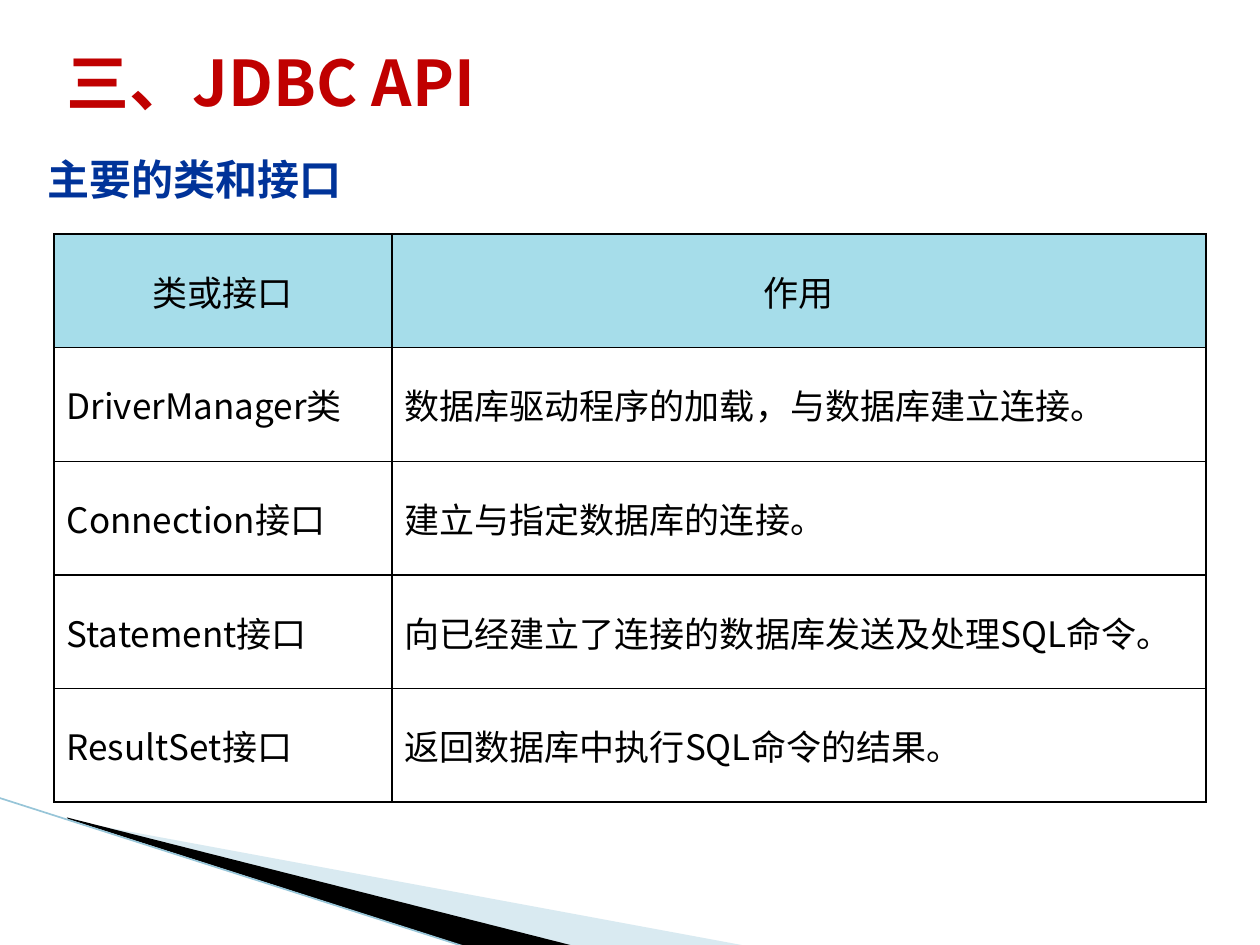
from typing import NamedTuple

from lxml import etree
from pptx import Presentation
from pptx.dml.color import RGBColor
from pptx.enum.shapes import MSO_CONNECTOR
from pptx.enum.text import MSO_ANCHOR, MSO_AUTO_SIZE, PP_ALIGN
from pptx.oxml.ns import qn
from pptx.util import Cm, Pt

LEFT, CENTER = PP_ALIGN.LEFT, PP_ALIGN.CENTER
MIDDLE = MSO_ANCHOR.MIDDLE
NO_FIT = MSO_AUTO_SIZE.NONE
STRAIGHT = MSO_CONNECTOR.STRAIGHT
FONT = "Noto Sans CJK SC"
HANG = Cm(0.94)
WIDTHS = (6.81, 16.41)
HEIGHT = 2.29


class Wedge(NamedTuple):
    points: tuple[tuple[float, float], ...]
    color: str
    alpha: int = 100


class Row(NamedTuple):
    name: str
    role: str
    hang: bool = True


WEDGES = (
    Wedge(((1.4, 16.54), (15.11, 19.08), (11.58, 19.08), (1.4, 16.51)), "A0CBDC", 40),
    Wedge(((1.35, 16.48), (11.61, 19.08), (9.45, 19.1), (1.37, 16.51)), "000000"),
)
ROWS = (
    Row("类或接口", "作用"),
    Row("DriverManager类", "数据库驱动程序的加载，与数据库建立连接。", False),
    Row("Connection接口", "建立与指定数据库的连接。"),
    Row("Statement接口", "向已经建立了连接的数据库发送及处理SQL命令。", False),
    Row("ResultSet接口", "返回数据库中执行SQL命令的结果。"),
)


def rgb(color: str) -> RGBColor:
    return RGBColor.from_string(color)


def write(frame, text: str, *, size: int, color: str = "000000",
          bold: bool = False, align=LEFT, hang: bool = False) -> None:
    para = frame.paragraphs[0]
    para.alignment = align
    if hang:
        props = para._p.get_or_add_pPr()
        props.set("marL", str(HANG))
        props.set("indent", str(-HANG))
    run = para.add_run()
    run.text = text
    font = run.font
    font.name, font.size, font.bold = FONT, Pt(size), bold
    font.color.rgb = rgb(color)
    etree.SubElement(run._r.get_or_add_rPr(), qn("a:ea"), typeface=FONT)


def place(shape, left: float, top: float, width: float, height: float) -> None:
    shape.left, shape.top = Cm(left), Cm(top)
    shape.width, shape.height = Cm(width), Cm(height)
    frame = shape.text_frame
    frame.auto_size = NO_FIT
    frame.word_wrap = True
    frame.vertical_anchor = MIDDLE


def draw_wedge(shapes, wedge: Wedge) -> None:
    first, *rest = [(Cm(x), Cm(y)) for x, y in wedge.points]
    pen = shapes.build_freeform(*first)
    pen.add_line_segments(rest)
    shape = pen.convert_to_shape()
    shape.shadow.inherit = False
    shape.fill.solid()
    shape.fill.fore_color.rgb = rgb(wedge.color)
    shape.line.fill.background()
    if wedge.alpha < 100:
        tint = shape._element.spPr.find(".//" + qn("a:srgbClr"))
        etree.SubElement(tint, qn("a:alpha"), val=str(wedge.alpha * 1000))


def draw_edge(shapes) -> None:
    edge = shapes.add_connector(STRAIGHT, Cm(-0.03), Cm(16.08), Cm(9.42), Cm(19.1))
    edge.line.color.rgb = rgb("97C5D8")
    edge.line.width = Pt(0.95)
    etree.SubElement(edge._element.spPr, qn("a:effectLst"))


def add_border(cell) -> None:
    props = cell._tc.get_or_add_tcPr()
    for spot, side in enumerate(("lnL", "lnR", "lnT", "lnB")):
        line = etree.Element(qn(f"a:{side}"), w=str(Pt(1)))
        fill = etree.SubElement(line, qn("a:solidFill"))
        etree.SubElement(fill, qn("a:srgbClr"), val="000000")
        props.insert(spot, line)


def draw_table(shapes, rows: tuple[Row, ...]) -> None:
    table = shapes.add_table(len(rows), len(WIDTHS), Cm(1.09), Cm(4.72),
                             Cm(sum(WIDTHS)), Cm(HEIGHT * len(rows))).table
    for col, width in zip(table.columns, WIDTHS):
        col.width = Cm(width)
    for i, row in enumerate(rows):
        table.rows[i].height = Cm(HEIGHT)
        for j, text in enumerate((row.name, row.role)):
            cell = table.cell(i, j)
            cell.vertical_anchor = MIDDLE
            if i == 0:
                cell.fill.solid()
                cell.fill.fore_color.rgb = rgb("A6DDEA")
            else:
                cell.fill.background()
            add_border(cell)
            write(cell.text_frame, text, size=20, align=LEFT if i else CENTER,
                  hang=j == 0 or row.hang)


def main() -> None:
    deck = Presentation()
    deck.slide_width, deck.slide_height = Cm(25.4), Cm(19.05)
    slide = deck.slides.add_slide(deck.slide_layouts[5])
    shapes = slide.shapes
    for wedge in WEDGES:
        draw_wedge(shapes, wedge)
    draw_edge(shapes)
    draw_table(shapes, ROWS)
    head = shapes.add_textbox(0, 0, 0, 0)
    place(head, 0.71, 2.97, 13, 1.27)
    write(head.text_frame, "主要的类和接口", size=24, color="003399", bold=True)
    title = shapes.title
    place(title, 1.09, 0.74, 21.59, 1.8)
    write(title.text_frame, "三、JDBC API", size=36, color="C00000", bold=True)
    deck.save("out.pptx")


if __name__ == "__main__":
    main()
